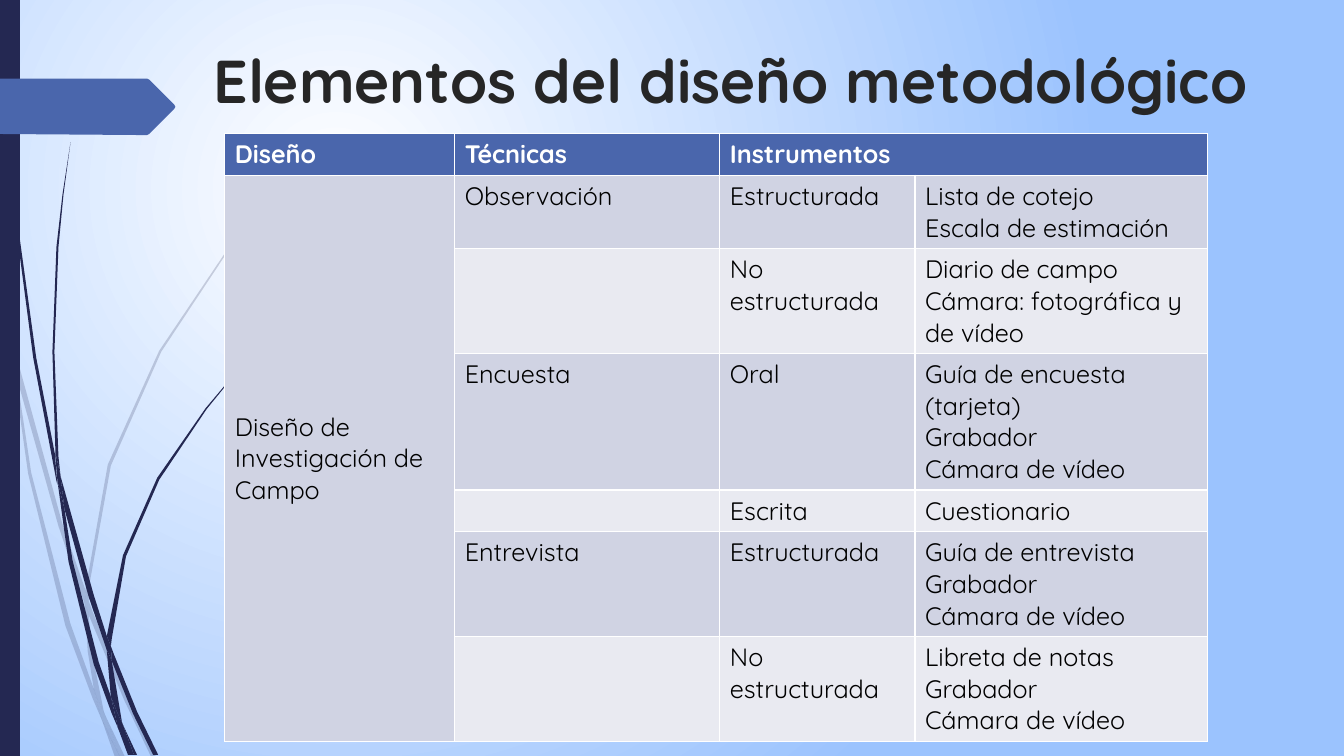
from lxml import etree
from pptx import Presentation
from pptx import util as u
from pptx.dml.color import RGBColor
from pptx.enum import text
from pptx.oxml.ns import qn

Pt = u.Pt
FONT = "Quicksand"
COLORS = {
    "navy": "242852", "blue": "4A66AC", "title": "262626",
    "white": "FFFFFF", "black": "000000", "sky": "9BC3FE",
    "band_dark": "D0D3E3", "band_light": "E9EAF1",
}


def rgb(name):
    return RGBColor.from_string(COLORS[name])


def add_outline(shapes, points, color, alpha=None):
    """Filled polygon; points are in units of 0.72 pt."""
    fb = shapes.build_freeform(*points[0], scale=Pt(0.72))
    fb.add_line_segments(points[1:], close=True)
    sp = fb.convert_to_shape()
    sp.shadow.inherit = False
    sp.fill.solid()
    sp.fill.fore_color.rgb = rgb(color)
    sp.line.fill.background()
    if alpha:
        clr = sp.fill._xPr.find(".//" + qn("a:srgbClr"))
        etree.SubElement(clr, qn("a:alpha"), val=str(alpha * 1000))


prs = Presentation()
prs.slide_width, prs.slide_height = Pt(960), Pt(540)
s = prs.slides.add_slide(prs.slide_layouts[5])

# Background: radial gradient, white to sky blue
fill = s.background.fill
fill.gradient()
for stop, name, pos in zip(fill.gradient_stops, ("white", "sky"), (0, 1)):
    stop.color.rgb = rgb(name)
    stop.position = pos
grad = s.background._cSld.find(".//" + qn("a:gradFill"))
grad.remove(grad.find(qn("a:lin")))
path = etree.SubElement(grad, qn("a:path"), {"path": "circle"})
etree.SubElement(path, qn("a:fillToRect"), l="50000", t="50000", r="100000", b="100000")

# Grass blades: a pale group behind a dark one
pale_blades = [
    [(11, 350), (9, 322), (0, 282), (0, 299), (10, 344)],
    [(58, 522), (84, 599), (85, 586), (62, 520), (14, 345), (17, 376)],
    [(92, 607), (88, 596), (88, 610), (123, 694), (150, 751), (155, 751), (127, 692)],
    [(119, 751), (124, 751), (105, 711)],
    [(93, 683), (70, 619), (31, 469), (17, 376), (11, 350), (28, 470), (65, 621),
     (92, 693), (101, 714), (99, 707)],
    [(84, 599), (87, 646), (93, 683), (96, 692), (105, 711), (103, 706), (91, 646),
     (88, 610), (88, 608)],
    [(88, 584), (110, 462), (160, 349), (229, 245), (268, 198), (290, 175), (312, 154),
     (312, 153), (289, 175), (268, 197), (228, 244), (158, 348), (107, 461), (85, 584),
     (85, 586), (88, 596)],
    [(101, 714), (114, 751), (119, 751)],
    [(88, 608), (88, 610), (88, 596), (85, 586), (84, 599)],
    [(96, 692), (93, 683), (99, 707), (101, 714), (119, 751), (105, 711)],
]
dark_blades = [
    [(7, 110), (17, 233), (33, 355), (56, 477), (57, 481), (55, 457), (55, 453),
     (36, 355), (19, 232), (8, 109), (5, 48), (4, 0), (3, 0), (4, 48)],
    [(88, 592), (106, 645), (106, 633), (106, 631), (93, 590), (60, 472), (64, 505)],
    [(113, 649), (110, 641), (111, 656), (132, 708), (152, 749), (157, 749), (136, 706)],
    [(110, 691), (98, 657), (72, 556), (64, 505), (57, 477), (68, 557), (93, 659),
     (111, 708), (117, 722), (116, 717)],
    [(60, 472), (58, 453), (54, 349), (58, 245), (63, 193), (70, 141), (62, 193),
     (56, 245), (52, 349), (55, 449)],
    [(133, 749), (136, 749), (122, 719)],
    [(57, 477), (64, 505), (60, 472), (55, 449), (55, 453)],
    [(111, 633), (125, 552), (158, 476), (205, 406), (231, 374), (245, 359), (261, 344),
     (260, 344), (245, 358), (231, 373), (204, 405), (156, 474), (122, 551), (106, 631),
     (110, 641)],
    [(117, 722), (127, 749), (131, 749)],
    [(106, 645), (110, 691), (116, 706), (122, 719), (121, 716), (111, 656), (109, 651)],
    [(106, 645), (109, 651), (111, 656), (110, 641), (106, 631), (106, 633)],
    [(116, 706), (110, 691), (116, 717), (117, 722), (130, 749), (133, 749), (122, 719)],
]
for blades, alpha in ((pale_blades, 20), (dark_blades, None)):
    group = s.shapes.add_group_shape()
    for points in blades:
        add_outline(group.shapes, points, "navy", alpha)

# Left bar and arrow tag
add_outline(s.shapes, [(0, 0), (20, 0), (20, 750), (0, 750)], "navy")
add_outline(s.shapes, [(0, 78), (146, 78), (148, 79), (173, 104), (174, 106), (173, 108),
                       (148, 133), (146, 134), (136, 134), (0, 133)], "blue")

# Title
title = s.shapes.title
title.left, title.top, title.width, title.height = Pt(145.4), Pt(27.4), Pt(769), Pt(100.8)
tf = title.text_frame
tf.text = "Elementos del diseño metodológico"
tf.word_wrap = True
tf.auto_size = text.MSO_AUTO_SIZE.NONE
tf.vertical_anchor = text.MSO_ANCHOR.TOP
p = tf.paragraphs[0]
p.alignment = text.PP_ALIGN.LEFT
p.font.name, p.font.size, p.font.bold = FONT, Pt(43.2), True
p.font.color.rgb = rgb("title")

# Table: line breaks separate paragraphs
rows = [
    ["Diseño", "Técnicas", "Instrumentos", ""],
    ["Diseño de Investigación de Campo", "Observación", "Estructurada",
     "Lista de cotejo\nEscala de estimación"],
    ["", "", "No estructurada", "Diario de campo\nCámara: fotográfica y de vídeo"],
    ["", "Encuesta", "Oral", "Guía de encuesta (tarjeta)\nGrabador\nCámara de vídeo"],
    ["", "", "Escrita", "Cuestionario"],
    ["", "Entrevista", "Estructurada", "Guía de entrevista\nGrabador\nCámara de vídeo"],
    ["", "", "No estructurada", "Libreta de notas\nGrabador\nCámara de vídeo"],
]
frame = s.shapes.add_table(len(rows), 4, Pt(160.6), Pt(95.4), Pt(702), Pt(418.3))
table = frame.table
for column, width in zip(table.columns, (164.2, 189.4, 139.4, 209.2)):
    column.width = Pt(width)
for i, row in enumerate(rows):
    table.rows[i].height = Pt(29.2)
    band = "blue" if i == 0 else "band_dark" if i % 2 else "band_light"
    for j, value in enumerate(row):
        cell = table.cell(i, j)
        cell.fill.solid()
        cell.fill.fore_color.rgb = rgb(band)
        cell.text = value
        for p in cell.text_frame.paragraphs:
            p.font.name, p.font.size, p.font.bold = FONT, Pt(18), i == 0
            p.font.color.rgb = rgb("black" if i else "white")
table.cell(0, 2).merge(table.cell(0, 3))
table.cell(1, 0).merge(table.cell(6, 0))
table.cell(1, 0).vertical_anchor = text.MSO_ANCHOR.MIDDLE
frame.height = Pt(418.3)

prs.save("out.pptx")
